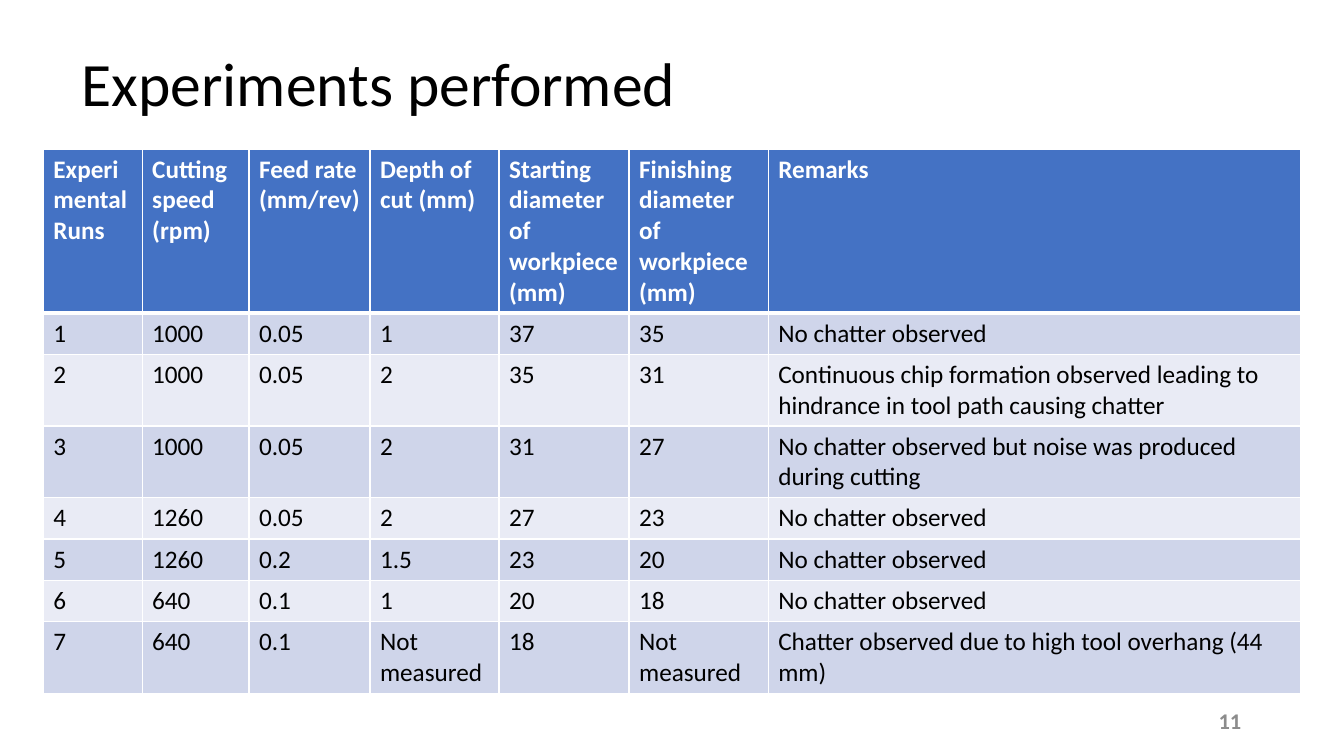
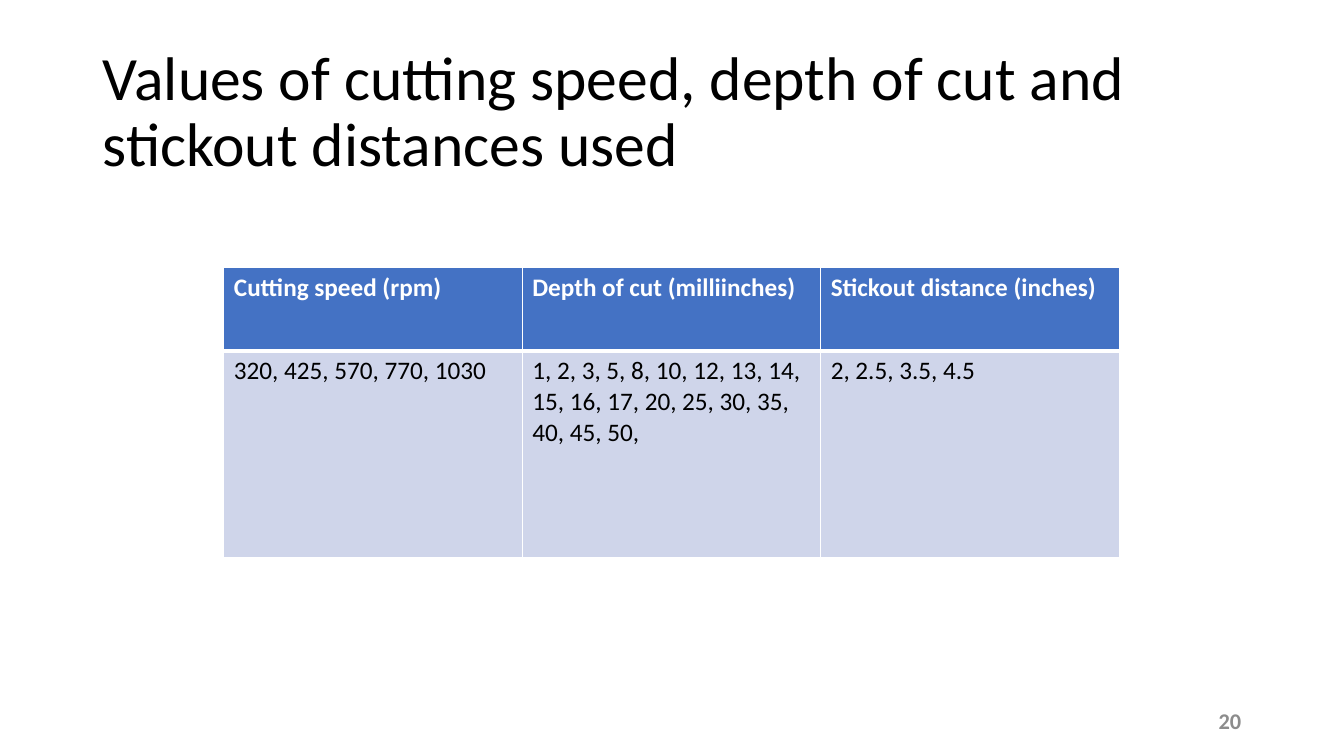
from lxml import etree
from pptx import Presentation
from pptx.dml.color import RGBColor
from pptx.enum import text
from pptx.oxml import ns
from pptx.util import Inches, Pt

BLACK = RGBColor(0x00, 0x00, 0x00)
WHITE = RGBColor(0xFF, 0xFF, 0xFF)
GREY = RGBColor(0x8C, 0x8C, 0x8C)
BLUE = RGBColor(0x44, 0x72, 0xC4)
BANDS = [RGBColor(0xE9, 0xEB, 0xF5), RGBColor(0xCF, 0xD5, 0xEA)]

TITLE = dict(name="Calibri", size=Pt(44), bold=False)
HEAD = dict(name="Calibri", size=Pt(18), bold=True)
BODY = dict(HEAD, bold=False)
PAGE = dict(name="Calibri", size=Pt(16), bold=True)

CLEAR = "No chatter observed"
SLIDES = [
    dict(
        title="Experiments performed", spot=(0.71, 0.13), page="11",
        place=(0.43, 1.48),
        cols=[0.98, 1.06, 1.2, 1.28, 1.29, 1.38, 5.28],
        tall=[0.41] * 8,
        rows=[
            ["Experimental Runs", "Cutting speed (rpm)", "Feed rate (mm/rev)",
             "Depth of cut (mm)", "Starting diameter of workpiece (mm)",
             "Finishing diameter of workpiece (mm)", "Remarks"],
            ["1", "1000", "0.05", "1", "37", "35", CLEAR],
            ["2", "1000", "0.05", "2", "35", "31",
             "Continuous chip formation observed leading to hindrance "
             "in tool path causing chatter"],
            ["3", "1000", "0.05", "2", "31", "27",
             "No chatter observed but noise was produced during cutting"],
            ["4", "1260", "0.05", "2", "27", "23", CLEAR],
            ["5", "1260", "0.2", "1.5", "23", "20", CLEAR],
            ["6", "640", "0.1", "1", "20", "18", CLEAR],
            ["7", "640", "0.1", "Not measured", "18", "Not measured",
             "Chatter observed due to high tool overhang (44 mm)"],
        ],
    ),
    dict(
        title="Values of cutting speed, depth of cut and stickout distances used",
        spot=(0.92, 0.4), page="20",
        place=(2.22, 2.65),
        cols=[2.96] * 3,
        tall=[0.83, 2.05],
        rows=[
            ["Cutting speed (rpm)", "Depth of cut (milliinches)",
             "Stickout distance (inches)"],
            ["320, 425, 570, 770, 1030",
             "1, 2, 3, 5, 8, 10, 12, 13, 14, 15, 16, 17, 20, 25, 30, 35, 40, 45, 50,",
             "2, 2.5, 3.5, 4.5"],
        ],
    ),
]


def style(para, look, color):
    for key, val in look.items():
        setattr(para.font, key, val)
    para.font.color.rgb = color


def edge(cell, top, base):
    """Draw white cell borders, with top and bottom widths in points."""
    props = cell._tc.get_or_add_tcPr()
    for side, width in zip("LRTB", (1, 1, top, base)):
        line = etree.SubElement(props, ns.qn("a:ln" + side), w=str(Pt(width)))
        fill = etree.SubElement(line, ns.qn("a:solidFill"))
        etree.SubElement(fill, ns.qn("a:srgbClr"), val=str(WHITE))


deck = Presentation()
deck.slide_width, deck.slide_height = Inches(13.33), Inches(7.5)

for data in SLIDES:
    slide = deck.slides.add_slide(deck.slide_layouts.get_by_name("Title Only"))

    title = slide.shapes.title
    title.left, title.top = map(Inches, data["spot"])
    title.width, title.height = Inches(11.5), Inches(1.45)
    frame = title.text_frame
    frame.text = data["title"]
    frame.auto_size = text.MSO_AUTO_SIZE.NONE
    frame.vertical_anchor = text.MSO_ANCHOR.MIDDLE
    para = frame.paragraphs[0]
    para.alignment = text.PP_ALIGN.LEFT
    para.line_spacing = 0.9
    style(para, TITLE, BLACK)

    rows, cols, tall = data["rows"], data["cols"], data["tall"]
    left, top = data["place"]
    table = slide.shapes.add_table(
        len(rows), len(cols), Inches(left), Inches(top),
        Inches(sum(cols)), Inches(sum(tall))).table
    for col, width in zip(table.columns, cols):
        col.width = Inches(width)
    for r, row in enumerate(rows):
        table.rows[r].height = Inches(tall[r])
        for c, words in enumerate(row):
            cell = table.cell(r, c)
            cell.text = words
            edge(cell, 3 if r == 1 else 1, 3 if r == 0 else 1)
            cell.fill.solid()
            cell.fill.fore_color.rgb = BANDS[r % 2] if r else BLUE
            style(cell.text_frame.paragraphs[0],
                  BODY if r else HEAD, BLACK if r else WHITE)

    page = slide.shapes.add_textbox(
        Inches(11.9), Inches(6.95), Inches(0.51), Inches(0.4)).text_frame
    page.word_wrap = True
    page.vertical_anchor = text.MSO_ANCHOR.MIDDLE
    page.text = data["page"]
    page.paragraphs[0].alignment = text.PP_ALIGN.RIGHT
    style(page.paragraphs[0], PAGE, GREY)

deck.save("out.pptx")
